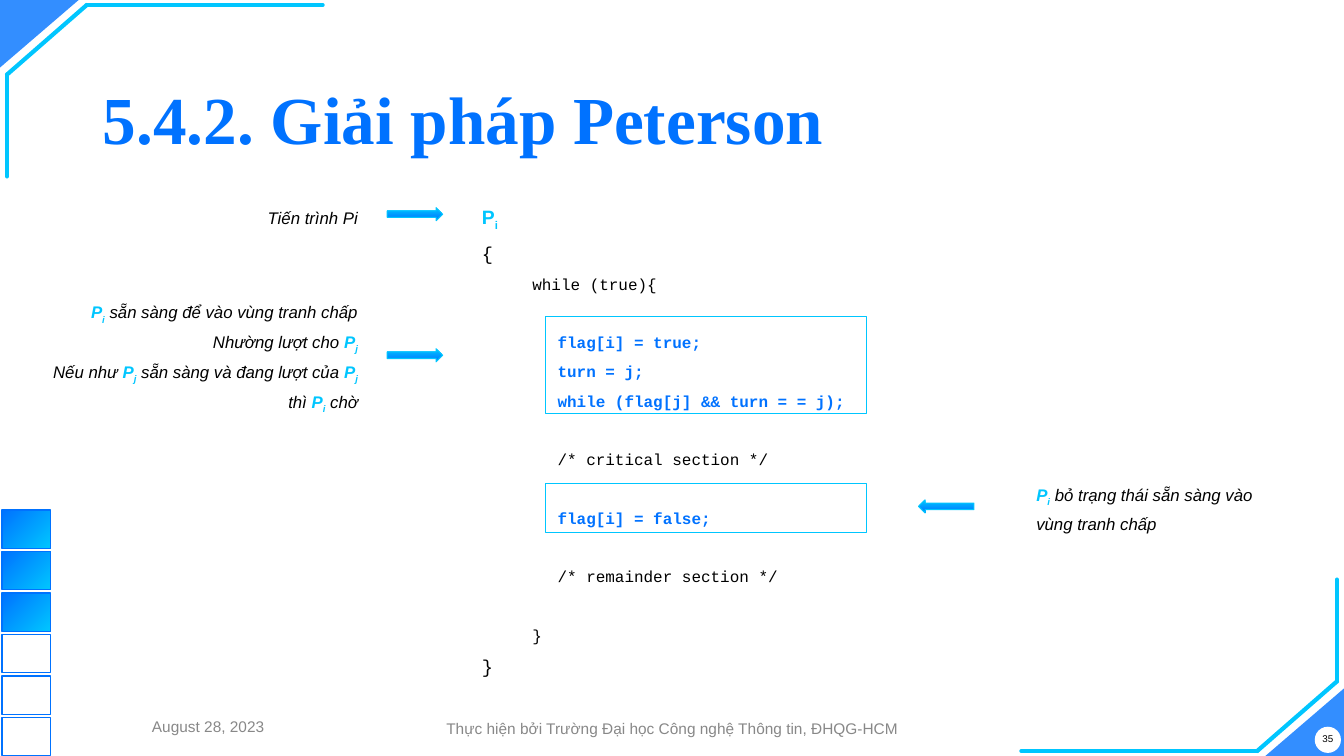
from itertools import pairwise

from lxml import etree
from pptx import Presentation
from pptx import util as u
from pptx.dml.color import RGBColor
from pptx.enum import shapes, text
from pptx.oxml import ns

BLUE = RGBColor(0x00, 0x72, 0xFF)
CYAN = RGBColor(0x00, 0xC6, 0xFF)
BLACK = RGBColor(0x00, 0x00, 0x00)
WHITE = RGBColor(0xFF, 0xFF, 0xFF)
GRAY = RGBColor(0x88, 0x88, 0x88)
WIDTH, HEIGHT = 13.33, 7.5
SHAPE = shapes.MSO_SHAPE
ALIGN = text.PP_ALIGN
MIDDLE = text.MSO_ANCHOR.MIDDLE

# Space before a code line, in points: next line, or one line skipped
NEXT, SKIP = 5.8, 26.8

# (text, left margin, size, colour, bold, space before)
CODE = [
    ("{", 0, 13.3, BLACK, False, NEXT),
    ("while (true){", 0.5, 11.4, BLACK, False, NEXT),
    ("flag[i] = true;", 0.75, 11.4, BLUE, True, SKIP),
    ("turn = j;", 0.75, 11.4, BLUE, True, NEXT),
    ("while (flag[j] && turn = = j);", 0.75, 11.4, BLUE, True, NEXT),
    ("/* critical section */", 0.75, 11.4, BLACK, False, SKIP),
    ("flag[i] = false;", 0.75, 11.4, BLUE, True, SKIP),
    ("/* remainder section */", 0.75, 11.4, BLACK, False, SKIP),
    ("}", 0.5, 11.4, BLACK, False, SKIP),
    ("}", 0, 13.3, BLACK, False, NEXT),
]


def inches(box):
    return [u.Inches(value) for value in box]


def add_child(parent, tag, **attributes):
    return etree.SubElement(parent, ns.qn(tag), attributes)


def add_span(para, words, color, **formats):
    span = para.add_run()
    span.text = words
    span.font.color.rgb = color
    for name, value in formats.items():
        setattr(span.font, name, value)
    return span


def add_marked(para, words, **formats):
    """Write text in which *i* stands for process P with subscript i."""
    for number, part in enumerate(words.split("*")):
        if number % 2:
            add_span(para, "P", CYAN, bold=True, **formats)
            index = add_span(para, part, CYAN, bold=True, **formats)
            index.font._element.set("baseline", "-25000")
        elif part:
            add_span(para, part, BLACK, bold=False, **formats)


def add_plain(page, kind, box, fill=None, line=None, weight=0.75):
    shape = page.shapes.add_shape(kind, *inches(box))
    shape.shadow.inherit = False
    if fill is None:
        shape.fill.background()
    else:
        shape.fill.solid()
        shape.fill.fore_color.rgb = fill
    if line is None:
        shape.line.fill.background()
    else:
        shape.line.color.rgb = line
        shape.line.width = u.Pt(weight)
    return shape


def set_gradient(shape, start, end, angle):
    shape.fill.gradient()
    shape.fill.gradient_angle = 360 - angle
    for stop, color in zip(shape.fill.gradient_stops, (start, end)):
        stop.color.rgb = color


def add_label(page, box):
    label = page.shapes.add_textbox(*inches(box))
    label.text_frame.word_wrap = True
    label.text_frame.vertical_anchor = MIDDLE
    return label.text_frame


def add_corner(page, box, turned):
    """Triangle and bent frame; the lower right one is turned half round."""
    left, top, width, height = box
    triangle = add_plain(page, SHAPE.ISOSCELES_TRIANGLE, box, BLUE)
    triangle.adjustments[0] = 1
    triangle.rotation = 0 if turned else 180
    color = triangle.fill._xPr.find(".//" + ns.qn("a:srgbClr"))
    add_child(color, "a:alpha", val="80000")

    points = [(3.2, 0.05), (0.86, 0.05), (0.07, 0.74), (0.07, 1.75)]
    if turned:
        points = [(left + width - x, top + height - y) for x, y in points]
    for start, end in pairwise(points):
        line = page.shapes.add_connector(
            shapes.MSO_CONNECTOR.STRAIGHT, *inches(start + end))
        line.line.color.rgb = CYAN
        line.line.width = u.Pt(3)
        line.line._get_or_add_ln().set("cap", "rnd")
        add_child(line._element.spPr, "a:effectLst")


def add_progress(page, box, count=6, done=3):
    left, top, width, height = box
    step = height / count
    for number in range(count):
        place = (left, top + number * step, width, 0.38)
        square = add_plain(page, SHAPE.RECTANGLE, place, line=BLUE, weight=1)
        if number < done:
            set_gradient(square, BLUE, CYAN, 45)


def add_title(page, box):
    title = page.shapes.title
    title.left, title.top, title.width, title.height = inches(box)
    frame = title.text_frame
    frame.auto_size = text.MSO_AUTO_SIZE.NONE
    frame.vertical_anchor = MIDDLE
    para = frame.paragraphs[0]
    para.alignment = ALIGN.LEFT
    para.line_spacing = 0.9
    add_span(para, "5.4.2. Giải pháp Peterson", BLUE, name="Times New Roman",
             size=u.Pt(48), bold=True)


def add_code(page, box):
    left, top = box[:2]
    body = page.placeholders[1]
    body.left, body.top, body.width, body.height = inches(box)
    frame = body.text_frame
    frame.auto_size = text.MSO_AUTO_SIZE.NONE
    frame.vertical_anchor = text.MSO_ANCHOR.TOP

    def format_para(para, margin, before):
        para.alignment = ALIGN.LEFT
        para.line_spacing = 1.1
        para.space_before = u.Pt(before)
        para.space_after = u.Pt(0)
        properties = para._p.get_or_add_pPr()
        properties.set("marL", str(u.Inches(margin)))
        properties.set("indent", "0")
        add_child(properties, "a:buNone")

    heading = frame.paragraphs[0]
    format_para(heading, 0, 0)
    add_marked(heading, "*i*", name="Arial", size=u.Pt(13.8))
    for words, margin, size, color, bold, before in CODE:
        para = frame.add_paragraph()
        para.level = 1 if margin else 0
        format_para(para, margin, before)
        add_span(para, words, color, name="Courier New", size=u.Pt(size),
                 bold=bold)

    # Frames around the entry and exit sections
    for down, height in ((1.18, 0.96), (2.84, 0.48)):
        place = (left + 0.73, top + down, 3.18, height)
        add_plain(page, SHAPE.RECTANGLE, place, line=CYAN)


def add_note(page, box, lines, arrow_at, points_left=False):
    frame = add_label(page, box)
    if not points_left:
        frame.margin_left = u.Inches(0.05)
    for number, words in enumerate(lines):
        para = frame.add_paragraph() if number else frame.paragraphs[0]
        para.alignment = ALIGN.LEFT if points_left else ALIGN.RIGHT
        para.line_spacing = 1.3
        add_marked(para, words, name="Arial", size=u.Pt(12), italic=True)
    kind = SHAPE.LEFT_ARROW if points_left else SHAPE.RIGHT_ARROW
    arrow = add_plain(page, kind, (*arrow_at, 0.55, 0.13), line=CYAN)
    set_gradient(arrow, CYAN, BLUE, 90)


def add_footer(page, box):
    left, top = box[:2]
    add_plain(page, SHAPE.OVAL, (left + 12.12, top + 0.15, 0.26, 0.26), WHITE)
    labels = [
        ("August 28, 2023", (left, top, 2.29, 0.29), 11, GRAY),
        ("Thực hiện bởi Trường Đại học Công nghệ Thông tin, ĐHQG-HCM",
         (left + 3.07, top + 0.02, 5.36, 0.29), 11, GRAY),
        ("35", (left + 12.09, top + 0.11, 0.32, 0.32), 7, BLACK),
    ]
    for words, place, size, color in labels:
        para = add_label(page, place).paragraphs[0]
        para.alignment = ALIGN.CENTER
        add_span(para, words, color, name="Arial", size=u.Pt(size))


def main():
    deck = Presentation()
    deck.slide_width, deck.slide_height = inches((WIDTH, HEIGHT))
    page = deck.slides.add_slide(deck.slide_layouts[1])
    # Decoration
    add_corner(page, (0, 0, 0.78, 0.67), turned=False)
    add_corner(page, (12.55, 6.83, 0.78, 0.67), turned=True)
    add_progress(page, (0.02, 5.06, 0.48, 2.47))
    # Content
    add_title(page, (0.92, 0.68, 11.5, 1.07))
    add_code(page, (4.68, 1.96, 3.98, 4.8))
    add_note(page, (2.55, 1.96, 1.1, 0.34), ["Tiến trình Pi"], (3.84, 2.06))
    add_note(page, (0.29, 2.96, 3.36, 1.12), [
        "*i* sẵn sàng để vào vùng tranh chấp",
        "Nhường lượt cho *j*",
        "Nếu như *j* sẵn sàng và đang lượt của *j* thì *i* chờ",
    ], (3.84, 3.46))
    add_note(page, (10.18, 4.72, 2.56, 0.6),
             ["*i* bỏ trạng thái sẵn sàng vào vùng tranh chấp"],
             (9.11, 4.96), points_left=True)
    add_footer(page, (0.92, 7.06, 12.41, 0.43))
    deck.save("out.pptx")


if __name__ == "__main__":
    main()
